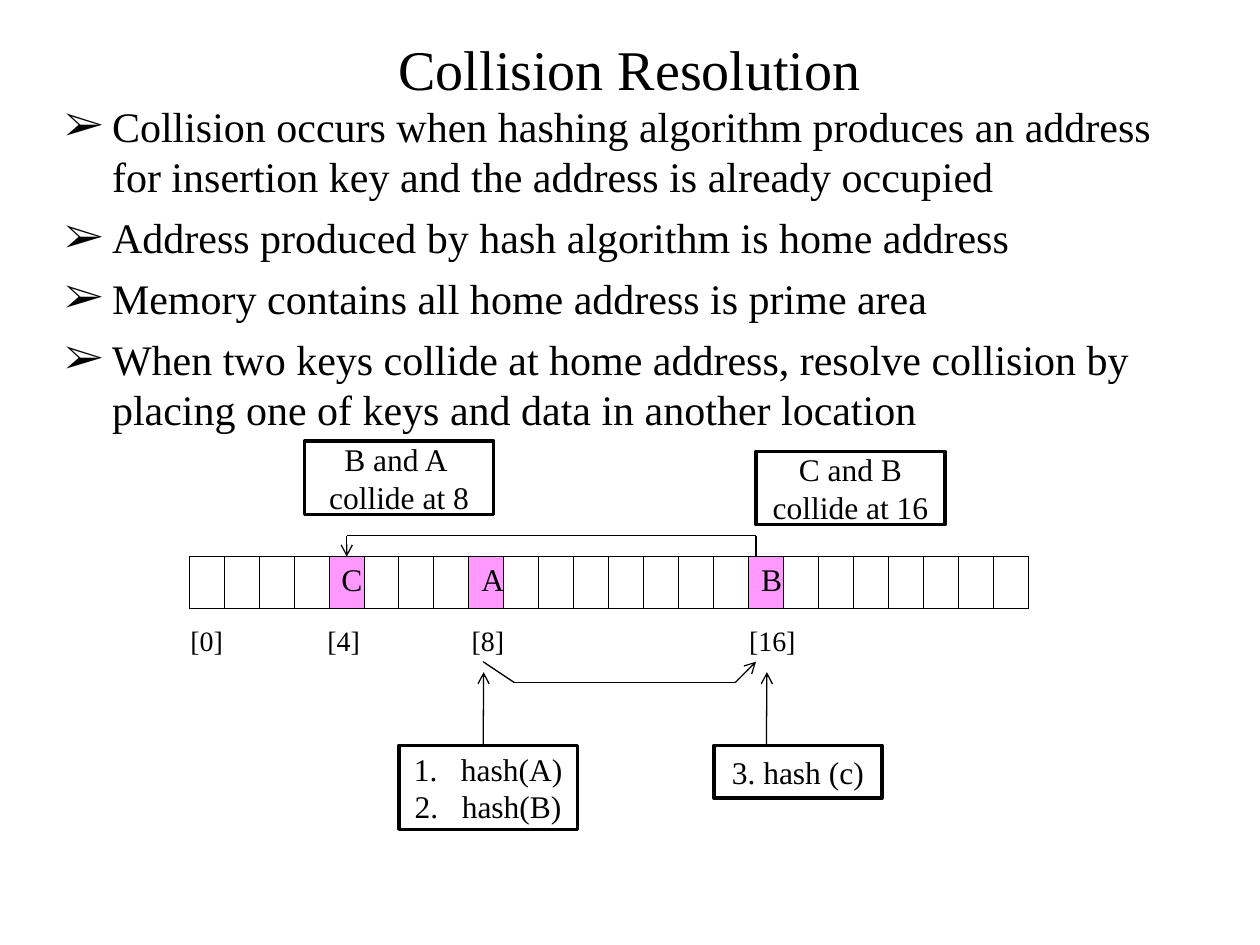
import itertools

import pptx
import pptx.dml.color
import pptx.enum.shapes
import pptx.enum.text
import pptx.oxml
import pptx.oxml.ns
import pptx.util
from lxml import etree
from pptx.util import Cm

FONT = "Times New Roman"
BLACK, WHITE, PINK = "000000", "FFFFFF", "FF99FF"
ALIGN = pptx.enum.text.PP_ALIGN
ANCHOR = pptx.enum.text.MSO_ANCHOR
qn = pptx.oxml.ns.qn


def color(hex_string):
    return pptx.dml.color.RGBColor.from_string(hex_string)


def write(text_frame, text, size, alignment=ALIGN.LEFT, bullet=None):
    """Fill a text frame; bullet is an (element name, attributes) pair."""
    text_frame.text = text
    text_frame.word_wrap = True
    for paragraph in text_frame.paragraphs:
        paragraph.alignment = alignment
        if bullet:
            properties = paragraph._p.get_or_add_pPr()
            properties.set("marL", str(Cm(0.95)))
            properties.set("indent", str(-Cm(0.95)))
            etree.SubElement(properties, qn("a:buFont"), typeface=FONT)
            etree.SubElement(properties, qn(bullet[0]), bullet[1])
        for run in paragraph.runs:
            run.font.name = FONT
            run.font.size = pptx.util.Pt(size)
            run.font.color.rgb = color(BLACK)


presentation = pptx.Presentation()
presentation.slide_width, presentation.slide_height = Cm(25.4), Cm(19.05)
slide = presentation.slides.add_slide(presentation.slide_layouts[5])

# Title
title = slide.shapes.title
title.left, title.top, title.width, title.height = Cm(1.27), Cm(0.64), Cm(22.86), Cm(1.48)
write(title.text_frame, "Collision Resolution", 32, ALIGN.CENTER)
title.text_frame.vertical_anchor = ANCHOR.MIDDLE

# Bullet points
points = [
    "Collision occurs when hashing algorithm produces an address for insertion key "
    "and the address is already occupied",
    "Address produced by hash algorithm is home address",
    "Memory contains all home address is prime area",
    "When two keys collide at home address, resolve collision by placing one of keys "
    "and data in another location",
]
body = slide.shapes.add_textbox(Cm(1.06), Cm(1.9), Cm(22.86), Cm(7))
write(body.text_frame, "\n".join(points), 24, bullet=("a:buChar", {"char": "➢"}))
for paragraph in body.text_frame.paragraphs[1:]:
    paragraph.space_before = pptx.util.Pt(6)

# Memory cells
keys = {4: "C", 8: "A", 16: "B"}
table = slide.shapes.add_table(1, 24, Cm(3.81), Cm(11.22), Cm(16.94), Cm(1.04)).table
table.first_row = table.horz_banding = False
for index, cell in enumerate(table.rows[0].cells):
    write(cell.text_frame, keys.get(index, ""), 18)
    cell_properties = cell._tc.get_or_add_tcPr()
    for side in ("a:lnL", "a:lnR", "a:lnT", "a:lnB"):
        border = etree.SubElement(cell_properties, qn(side), w=str(pptx.util.Pt(0.45)))
        border_fill = etree.SubElement(border, qn("a:solidFill"))
        etree.SubElement(border_fill, qn("a:srgbClr"), val=BLACK)
    cell.fill.solid()
    cell.fill.fore_color.rgb = color(PINK if index in keys else WHITE)

# Cell addresses
for label, left in [("[0]", 3.84), ("[4]", 6.6), ("[8]", 9.51), ("[16]", 15.1)]:
    address = slide.shapes.add_textbox(Cm(left), Cm(12.45), Cm(1.5), Cm(0.8))
    write(address.text_frame, label, 16)
    address.text_frame.margin_left = address.text_frame.margin_right = 0

# Framed notes
numbered = ("a:buAutoNum", {"type": "arabicPeriod"})
notes = [
    ("B and A \ncollide at 8", 6.14, 8.89, 3.81, 1.48, None),
    ("C and B\ncollide at 16", 15.24, 9.1, 3.81, 1.48, None),
    ("hash(A)\nhash(B)", 8.04, 15.03, 3.6, 1.69, numbered),
    ("3. hash (c)", 14.39, 15.03, 3.39, 1.06, None),
]
for text, left, top, width, height, bullet in notes:
    note = slide.shapes.add_shape(
        pptx.enum.shapes.MSO_SHAPE.RECTANGLE, Cm(left), Cm(top), Cm(width), Cm(height))
    note.shadow.inherit = False
    note.fill.solid()
    note.fill.fore_color.rgb = color(WHITE)
    note.line.color.rgb = color(BLACK)
    note.line.width = pptx.util.Pt(2)
    write(note.text_frame, text, 18, ALIGN.CENTER, bullet)
    note.text_frame.vertical_anchor = ANCHOR.MIDDLE

# Arrows, each a route of points with the head at its end
routes = [
    [(9.74, 15.03), (9.75, 13.55)],
    [(15.45, 15.03), (15.46, 13.55)],
    [(15.24, 11.22), (15.24, 10.8), (6.99, 10.8), (6.99, 11.22)],
    [(9.74, 13.34), (10.37, 13.76), (14.82, 13.76), (15.24, 13.34)],
]
for route in routes:
    for start, end in itertools.pairwise(route):
        connector = slide.shapes.add_connector(
            pptx.enum.shapes.MSO_CONNECTOR.STRAIGHT, *map(Cm, start + end))
        connector.line.color.rgb = color(BLACK)
        connector.line.width = pptx.util.Pt(0.75)
        if end == route[-1]:
            etree.SubElement(connector.line._get_or_add_ln(), qn("a:tailEnd"), type="arrow")
        etree.SubElement(connector._element.spPr, qn("a:effectLst"))

presentation.save("out.pptx")
